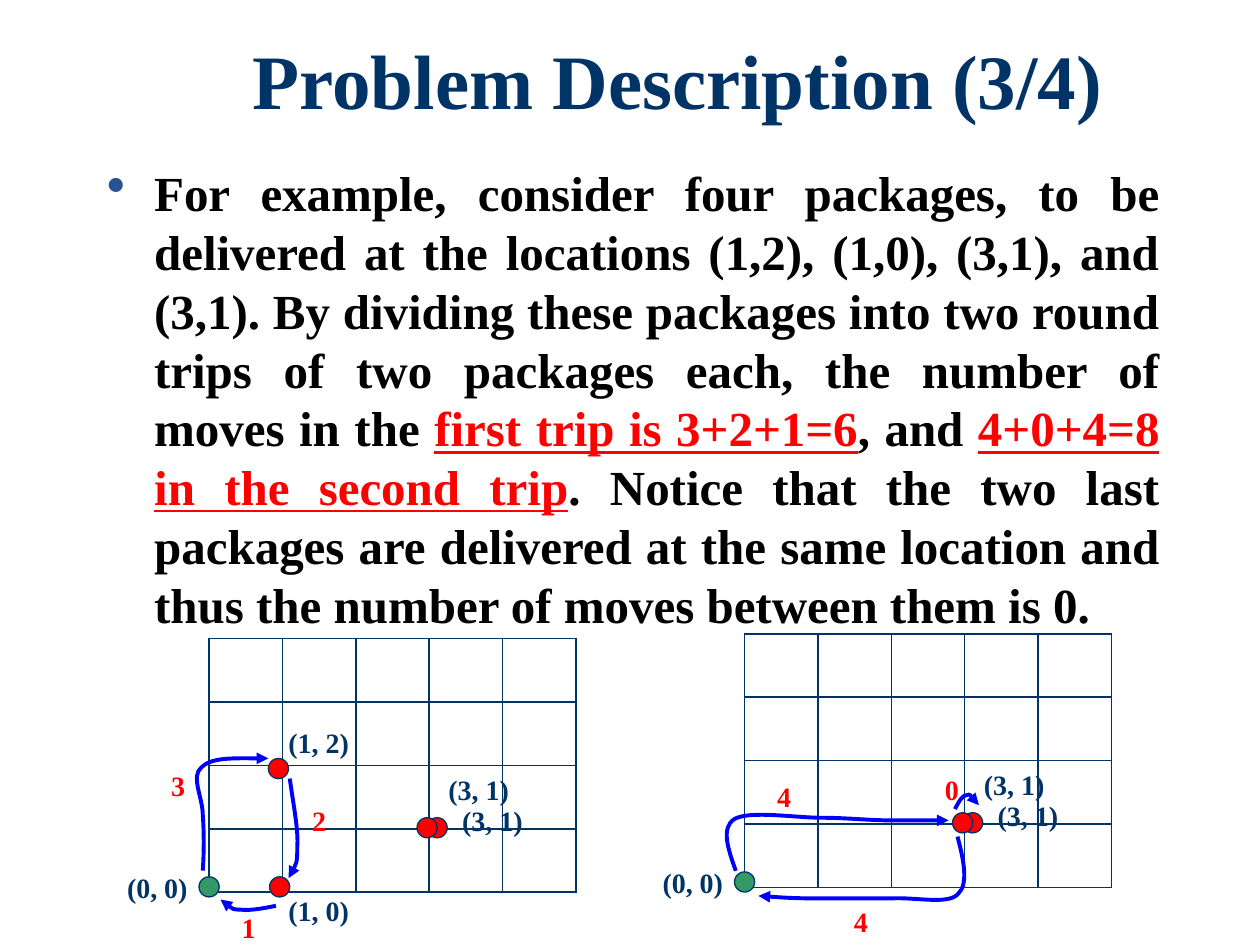
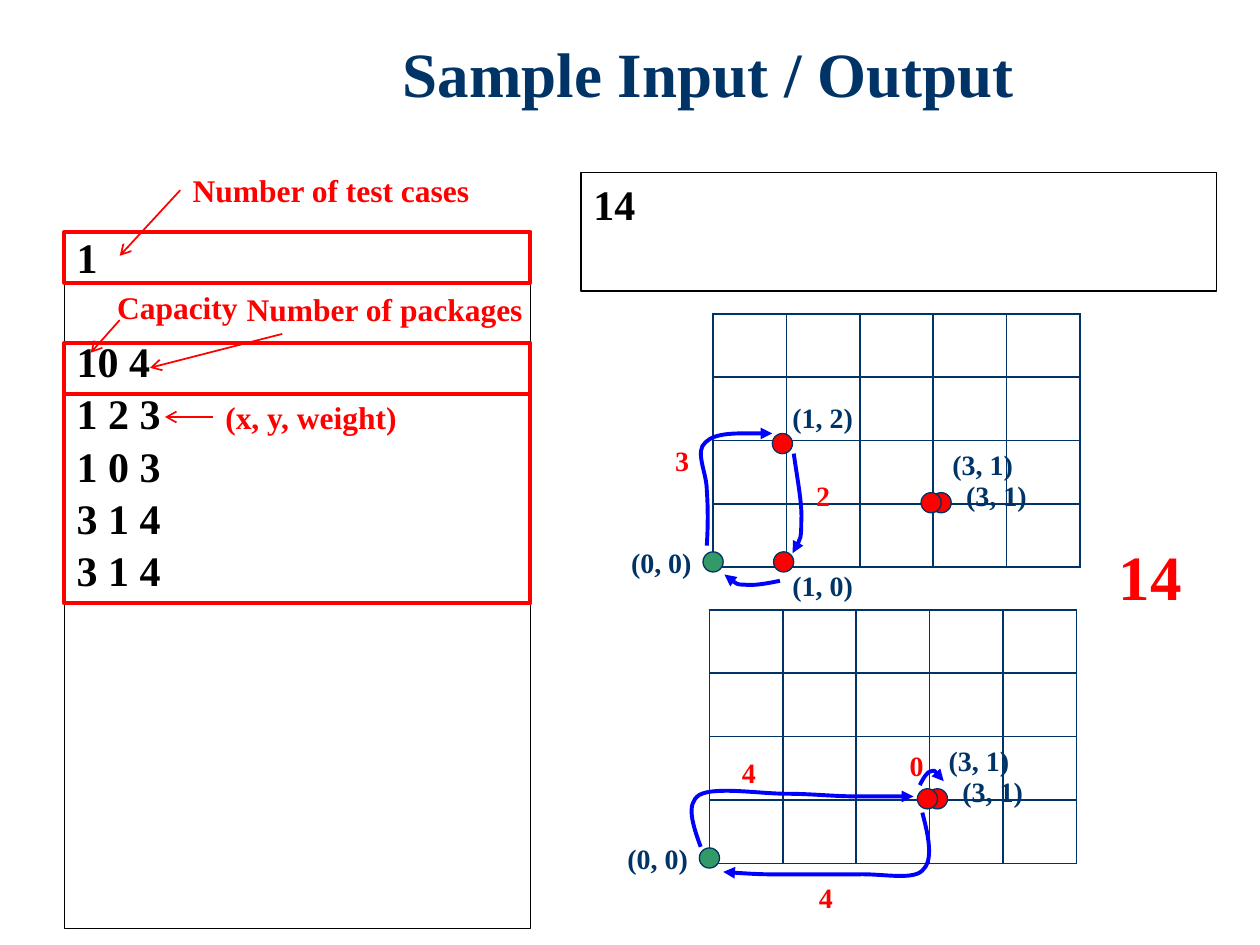
import pptx
import pptx.chart.data
import pptx.dml.color
import pptx.enum.shapes
import pptx.enum.text
import pptx.oxml.ns
import pptx.util
from lxml import etree

Pt = pptx.util.Pt
RGBColor = pptx.dml.color.RGBColor
MSO_SHAPE = pptx.enum.shapes.MSO_SHAPE
ALIGN = pptx.enum.text.PP_ALIGN
qn = pptx.oxml.ns.qn

NAVY = RGBColor(0x00, 0x33, 0x66)
RED = RGBColor(0xFF, 0x00, 0x00)
BLUE = RGBColor(0x00, 0x00, 0xFF)
GREEN = RGBColor(0x33, 0x99, 0x66)
BLACK = RGBColor(0x00, 0x00, 0x00)
WHITE = RGBColor(0xFF, 0xFF, 0xFF)
BULLET_COLOUR = "275393"
FONT = "Times New Roman"

# Content of the first slide
EXAMPLE = [
    ("For example, consider four packages, to be delivered at the locations (1,2), (1,0), "
     "(3,1), and (3,1). By dividing these packages into two round trips of two packages "
     "each, the number of moves in the ", False),
    ("first trip is 3+2+1=6", True),
    (", and ", False),
    ("4+0+4=8 in the second trip", True),
    (". Notice that the two last packages are delivered at the same location and thus the "
     "number of moves between them is 0.", False),
]

# Content of the second slide: lines with the space before each
SAMPLE_INPUT = [("1", 0), ("10 4", 34.6), ("1 2 3", 4.8), ("1 0 3", 4.8),
                ("3 1 4", 4.8), ("3 1 4", 4.8)]
SAMPLE_OUTPUT = [("14", 0)]
INPUT_GROUPS = [(132.5, 29), (196, 29), (225.3, 119.5)]  # top, height
# text, (left, top, width), arrow start, arrow end
NOTES = [
    ("Number of test cases", (103, 94.3, 174), (103, 108.7), (68.4, 146.2)),
    ("Capacity", (59.8, 161.3, 84), (68.4, 182.9), (51.8, 201.6)),
    ("Number of packages", (133.9, 162, 173.5), (161.3, 190.8), (85.7, 210.2)),
    ("(x, y, weight)", (121.7, 223.9, 114), (121.7, 238.3), (94.3, 238.3)),
]

# City grid and trips, measured from the top left corner of the grid
COLUMNS, ROWS, CELL_WIDTH, CELL_HEIGHT = 5, 4, 41.94, 36.2
DOT = 11.5
DEPOT = ("(0, 0)", (0, 141.8), (-54, 129), GREEN)  # text, dot centre, label, colour
SHARED_STOPS = [
    ("(3, 1)", (130.3, 108), (129.6, 72.7), RED),
    ("(3, 1)", (124.6, 108), (137.5, 90.7), RED),
]
FIRST_TRIP = {
    "stops": [DEPOT, ("(1, 2)", (39.6, 74.2), (38.2, 46.1), RED), *SHARED_STOPS,
              ("(1, 0)", (40.3, 141.8), (38.2, 141.8), RED)],
    "moves": [("3", (-28.8, 70.6)), ("2", (51.8, 90.7)), ("1", (11.5, 151.9))],
    # Each route: a start point, then three points for each curve
    "routes": [
        [(-3.6, 132.5), (-2.9, 121.7), (-2.9, 110.2), (-3.6, 100.8), (-3.6, 90.7),
         (-10.8, 78.5), (-4.3, 73.4), (1.4, 67.7), (18, 68.4), (33.8, 68.4)],
        [(46.1, 79.9), (48.2, 95), (51.1, 109.4), (50.4, 118.8), (50.4, 128.9),
         (48.2, 132.5), (45.4, 136.8)],
        [(38.2, 152.6), (31, 154.1), (23, 155.5), (18, 154.8), (13, 154.8),
         (10.1, 151.9), (6.5, 149)],
    ],
}
SECOND_TRIP = {
    "stops": [DEPOT, *SHARED_STOPS],
    "moves": [("4", (11.5, 79.9)), ("0", (107.3, 75.6)), ("4", (55.4, 151.2))],
    "routes": [
        [(-5, 135.4), (-9.4, 123.1), (-13.7, 110.9), (-5.8, 105.8), (2.9, 100.8),
         (28.8, 105.1), (43.9, 105.1), (58.3, 105.1), (71.3, 106.6), (83.5, 106.6),
         (95, 106.6), (105.8, 106.6), (116.6, 106.6)],
        [(120.2, 100.1), (122.4, 95.8), (124.6, 92.2), (126.7, 92.2), (128.9, 91.4),
         (131, 94.3), (133.9, 97.9)],
        [(121.7, 115.9), (125.3, 129.6), (128.2, 143.3), (121.7, 149), (115.9, 154.8),
         (97.9, 150.5), (84.2, 151.2), (71.3, 151.2), (53.3, 151.2), (40.3, 151.2),
         (28.1, 151.2), (18, 150.5), (7.9, 149.8)],
    ],
}


def points(*values):
    return [Pt(value) for value in values]


def apply(target, **values):
    for name, value in values.items():
        setattr(target, name, value)


def add_span(para, text, size, colour, underline=None):
    span = para.add_run()
    span.text = text
    apply(span.font, name=FONT, size=Pt(size), bold=True, underline=underline)
    span.font.color.rgb = colour


def add_box(page, place, wrap=True):
    box = page.shapes.add_textbox(*points(*place))
    box.text_frame.word_wrap = wrap
    return box


def add_label(page, text, place, size, colour):
    """One line of text that does not wrap."""
    box = add_box(page, place, wrap=False)
    box.text_frame.auto_size = pptx.enum.text.MSO_AUTO_SIZE.SHAPE_TO_FIT_TEXT
    add_span(box.text_frame.paragraphs[0], text, size, colour)


def add_title(page, text, left, width, size):
    para = add_box(page, (left, 20.9, width, 66.2)).text_frame.paragraphs[0]
    apply(para, alignment=ALIGN.CENTER, line_spacing=0.9)
    add_span(para, text, size, NAVY)


def style_shape(shape, fill, line, width):
    shape.shadow.inherit = False
    if fill is None:
        shape.fill.background()
    else:
        shape.fill.solid()
        shape.fill.fore_color.rgb = fill
    shape.line.color.rgb = line
    shape.line.width = Pt(width)


def add_preset(page, kind, place, fill, line, width):
    shape = page.shapes.add_shape(kind, *points(*place))
    style_shape(shape, fill, line, width)
    return shape


def add_arrowhead(shape, kind):
    etree.SubElement(shape.line._get_or_add_ln(), qn("a:tailEnd"), type=kind)


def add_listing(page, place, lines, spacing=None):
    """Framed panel with justified lines."""
    panel = add_preset(page, MSO_SHAPE.RECTANGLE, place, WHITE, BLACK, 0.75)
    frame = panel.text_frame
    apply(frame, word_wrap=True, vertical_anchor=pptx.enum.text.MSO_ANCHOR.TOP)
    for number, (text, before) in enumerate(lines):
        para = frame.add_paragraph() if number else frame.paragraphs[0]
        apply(para, alignment=ALIGN.JUSTIFY, line_spacing=spacing, space_before=Pt(before))
        add_span(para, text, 24, BLACK)


def add_grid(page, left, top):
    place = points(left, top, COLUMNS * CELL_WIDTH, ROWS * CELL_HEIGHT)
    table = page.shapes.add_table(ROWS, COLUMNS, *place).table
    apply(table, first_row=False, horz_banding=False)
    for column in table.columns:
        column.width = Pt(CELL_WIDTH)
    for row in table.rows:
        row.height = Pt(CELL_HEIGHT)
    for cell in table.iter_cells():
        properties = cell._tc.get_or_add_tcPr()
        for side in ("lnL", "lnR", "lnT", "lnB"):
            border = etree.SubElement(properties, qn(f"a:{side}"), w=str(Pt(1)))
            fill = etree.SubElement(border, qn("a:solidFill"))
            etree.SubElement(fill, qn("a:srgbClr"), val=str(NAVY))
        cell.fill.solid()
        cell.fill.fore_color.rgb = WHITE


def add_route(page, route):
    """Curved arrow: each three straight segments become one cubic curve."""
    start, *rest = [points(*point) for point in route]
    builder = page.shapes.build_freeform(*start)
    builder.add_line_segments(rest, close=False)
    shape = builder.convert_to_shape()
    segments = list(shape._element.iter(qn("a:lnTo")))
    for first in range(0, len(segments), 3):
        curve = etree.SubElement(segments[first].getparent(), qn("a:cubicBezTo"))
        for segment in segments[first:first + 3]:
            curve.append(segment[0])
            segment.getparent().remove(segment)
    style_shape(shape, None, BLUE, 2.25)
    add_arrowhead(shape, "triangle")


def add_trip(page, trip, left, top, move_count=3):
    add_grid(page, left, top)
    for text, (x, y), (label_x, label_y), colour in trip["stops"]:
        place = (left + x - DOT / 2, top + y - DOT / 2, DOT, DOT)
        add_preset(page, MSO_SHAPE.OVAL, place, colour, NAVY, 0.75)
        add_label(page, text, (left + label_x, top + label_y, 49.7, 26.6), 16, NAVY)
    for route in trip["routes"]:
        add_route(page, [(left + x, top + y) for x, y in route])
    for text, (x, y) in trip["moves"][:move_count]:
        add_label(page, text, (left + x, top + y, 22.3, 26.6), 16, RED)


def add_note(page, text, place, start, end):
    add_label(page, text, (*place, 29), 18, RED)
    arrow = page.shapes.add_connector(
        pptx.enum.shapes.MSO_CONNECTOR.STRAIGHT, *points(*start, *end))
    arrow.line.color.rgb = RED
    arrow.line.width = Pt(1)
    add_arrowhead(arrow, "arrow")
    etree.SubElement(arrow._element.spPr, qn("a:effectLst"))


def build_description(page):
    add_title(page, "Problem Description (3/4)", 99.4, 576, 44)
    para = add_box(page, (54, 89.5, 615.6, 391)).text_frame.paragraphs[0]
    properties = para._p.get_or_add_pPr()
    for name, value in {"marL": 27, "indent": -27}.items():
        properties.set(name, str(Pt(value)))
    colour = etree.SubElement(properties, qn("a:buClr"))
    etree.SubElement(colour, qn("a:srgbClr"), val=BULLET_COLOUR)
    etree.SubElement(properties, qn("a:buSzPct"), val="110000")
    etree.SubElement(properties, qn("a:buChar"), char="•")
    apply(para, alignment=ALIGN.JUSTIFY, line_spacing=Pt(33.6))
    for text, stressed in EXAMPLE:
        add_span(para, text, 28, RED if stressed else BLACK, stressed)
    add_trip(page, FIRST_TRIP, 119.5, 365)
    add_trip(page, SECOND_TRIP, 425.5, 362.2)


def build_sample(page):
    add_title(page, "Sample Input / Output", 214.6, 380, 36)
    add_listing(page, (36.7, 132.5, 266.4, 398), SAMPLE_INPUT, Pt(25))
    add_listing(page, (332, 98.6, 363, 67.7), SAMPLE_OUTPUT)
    for top, height in INPUT_GROUPS:
        add_preset(page, MSO_SHAPE.RECTANGLE, (36.7, top, 266.4, height), None, RED, 2.25)
    for note in NOTES:
        add_note(page, *note)
    add_trip(page, FIRST_TRIP, 407.5, 179.3, move_count=2)
    add_trip(page, SECOND_TRIP, 405.4, 348.5)
    add_label(page, "14", (632.2, 303.8, 51, 51), 36, RED)


def main():
    deck = pptx.Presentation()
    apply(deck, slide_width=Pt(720), slide_height=Pt(540))
    for build in (build_description, build_sample):
        build(deck.slides.add_slide(deck.slide_layouts[6]))
    deck.save("out.pptx")


if __name__ == "__main__":
    main()
